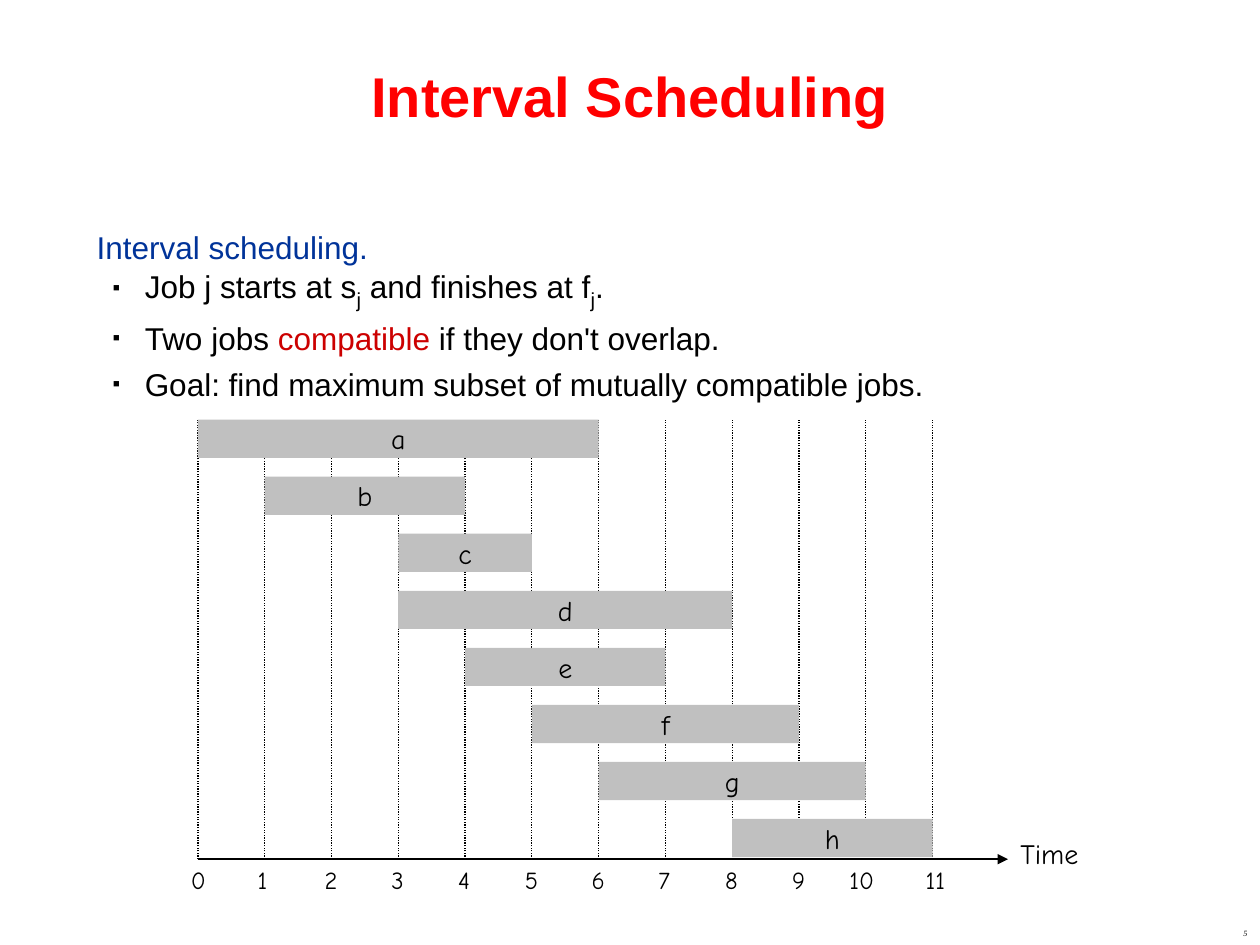
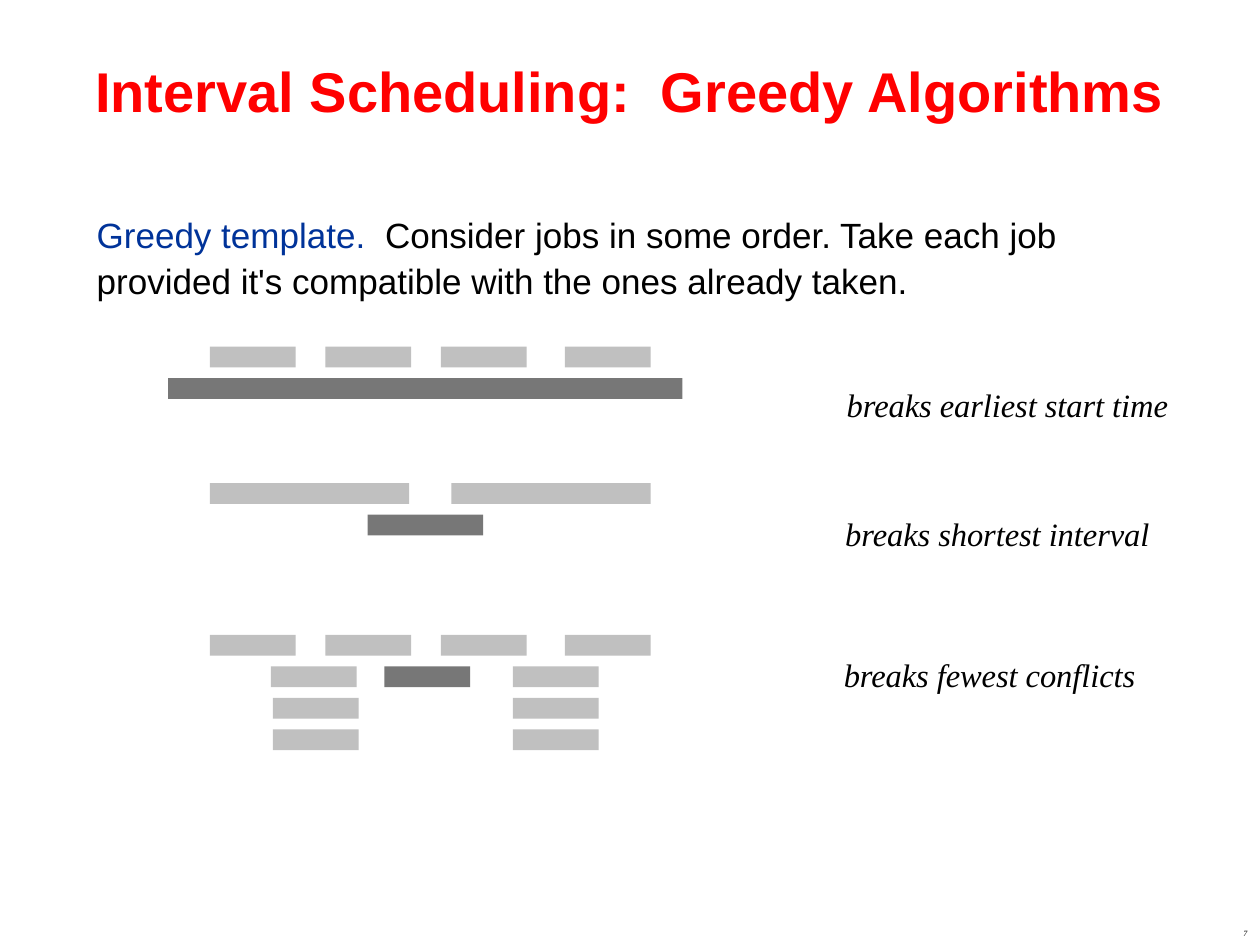
from pptx import Presentation
from pptx.dml.color import RGBColor
from pptx.enum.dml import MSO_LINE
from pptx.enum.shapes import MSO_CONNECTOR, MSO_SHAPE
from pptx.enum.text import MSO_ANCHOR, PP_ALIGN
from pptx.oxml.ns import qn
from pptx.util import Cm, Pt
from lxml.etree import SubElement


def paint(code):
    return RGBColor.from_string(code)


class Deck:
    """Holds the style and the current slide."""
    BLACK, RED, BLUE, ROSE = "000000", "FF0000", "003399", "CC0000"
    LIGHT, DARK = "C0C0C0", "777777"
    SANS, HAND, SERIF = "Arial", "Comic Neue", "Times New Roman"

    def __init__(self):
        self.prs = Presentation()
        self.prs.slide_width, self.prs.slide_height = Cm(25.4), Cm(19.05)

    def page(self, title, number, depth):
        """Start a slide with its title and page number."""
        self.slide = self.prs.slides.add_slide(self.prs.slide_layouts[6])
        head = self.box(0, 0.43, 25.4, depth, MSO_ANCHOR.MIDDLE)
        para = head.paragraphs[0]
        para.alignment, para.line_spacing = PP_ALIGN.CENTER, 0.7
        self.run(para, title, 32, self.SANS, self.RED, bold=True)
        foot = self.box(20.12, 18.42, 5.28, 0.63, MSO_ANCHOR.MIDDLE)
        foot.paragraphs[0].alignment = PP_ALIGN.RIGHT
        self.run(foot.paragraphs[0], number, 8, self.SERIF, italic=True, base=-10)

    def box(self, x, y, w, h, anchor=MSO_ANCHOR.TOP, wrap=True):
        frame = self.slide.shapes.add_textbox(Cm(x), Cm(y), Cm(w), Cm(h)).text_frame
        frame.word_wrap, frame.vertical_anchor = wrap, anchor
        return frame

    def run(self, para, text, size, face, color=BLACK, bold=False, italic=False, base=0):
        run = para.add_run()
        run.text = text
        font = run.font
        font.size, font.name, font.bold, font.italic = Pt(size), face, bold, italic
        font.color.rgb = paint(color)
        if base:
            run._r.get_or_add_rPr().set("baseline", str(base * 1000))

    def label(self, text, x, y, w, h, size, face, italic=False, base=0, wrap=True):
        frame = self.box(x, y, w, h, wrap=wrap)
        self.run(frame.paragraphs[0], text, size, face, italic=italic, base=base)

    def bullet(self, para):
        props = para._p.get_or_add_pPr()
        props.set("marL", str(Cm(0.97)))
        props.set("indent", str(Cm(-0.64)))
        color = SubElement(props, qn("a:buClr"))
        SubElement(color, qn("a:srgbClr")).set("val", self.BLACK)
        SubElement(props, qn("a:buSzPct")).set("val", "35000")
        SubElement(props, qn("a:buFont")).set("typeface", self.SANS)
        SubElement(props, qn("a:buChar")).set("char", "■")

    def body(self, y, h, lines):
        """Each line is a list of (text, size, colour, baseline); later lines are bulleted."""
        frame = self.box(1.7, y, 21.8, h)
        for i, line in enumerate(lines):
            para = frame.add_paragraph() if i else frame.paragraphs[0]
            if i:
                self.bullet(para)
            para.line_spacing = Pt(26)
            for text, size, color, base in line:
                self.run(para, text, size, self.SANS, color, base=base)

    def bar(self, x, y, w, h, color=LIGHT, text=""):
        shape = self.slide.shapes.add_shape(MSO_SHAPE.RECTANGLE, Cm(x), Cm(y), Cm(w), Cm(h))
        shape.shadow.inherit = False
        shape.fill.solid()
        shape.fill.fore_color.rgb = paint(color)
        shape.line.fill.background()
        if text:
            frame = shape.text_frame
            frame.word_wrap, frame.vertical_anchor = False, MSO_ANCHOR.MIDDLE
            frame.paragraphs[0].alignment = PP_ALIGN.CENTER
            self.run(frame.paragraphs[0], text, 16, self.HAND)

    def line(self, x1, y1, x2, y2, width, dots=False, arrow=False):
        link = self.slide.shapes.add_connector(
            MSO_CONNECTOR.STRAIGHT, Cm(x1), Cm(y1), Cm(x2), Cm(y2))
        link.line.width = Pt(width)
        link.line.color.rgb = paint(self.BLACK)
        if dots:
            link.line.dash_style = MSO_LINE.ROUND_DOT
        if arrow:
            SubElement(link.line._get_or_add_ln(), qn("a:tailEnd")).set("type", "triangle")
        SubElement(link._element.spPr, qn("a:effectLst"))


def jobs(deck):
    """Jobs on a time axis."""
    deck.page("Interval Scheduling", "5", 3.3)
    black = deck.BLACK
    deck.body(4.32, 13.23, [
        [("Interval scheduling.", 18, deck.BLUE, 0)],
        [("Job j starts at s", 18, black, 0), ("j", 20, black, -25),
         (" and finishes at f", 18, black, 0), ("j", 20, black, -25), (".", 18, black, 0)],
        [("Two jobs ", 18, black, 0), ("compatible ", 18, deck.ROSE, 0),
         ("if they don't overlap.", 18, black, 0)],
        [("Goal: find maximum subset of mutually compatible jobs.", 18, black, 0)],
    ])

    # Time axis, grid and hour labels
    left, right, top, base, last = 3.99, 18.8, 8.46, 17.32, 11
    step = (right - left) / last
    deck.line(left, base, 20.32, base, 1.25, arrow=True)
    deck.label("Time", 20.32, 16.74, 2.11, 0.94, 16, deck.HAND)
    for hour in range(last + 1):
        x = left + hour * step
        deck.line(x, base, x, top, 0.75, dots=True)
        shift = 0.58 if hour == 10 else 0.39
        deck.label(str(hour), x - shift, base, 1.16, 0.84, 14, deck.HAND)

    # Job bars: name, start, finish
    spans = [("a", 0, 6), ("b", 1, 4), ("c", 3, 5), ("d", 3, 8),
             ("e", 4, 7), ("f", 5, 9), ("g", 6, 10), ("h", 8, 11)]
    for row, (name, start, end) in enumerate(spans):
        deck.bar(left + start * step, top + row * 1.15, (end - start) * step, 0.77, text=name)


def greedy(deck):
    """Cases that break each greedy order."""
    deck.page("Interval Scheduling:  Greedy Algorithms", "7", 3.1)
    deck.body(4.11, 13.44, [[
        ("Greedy template.  ", 20, deck.BLUE, 0),
        ("Consider jobs in some order. Take each job provided it's compatible "
         "with the ones already taken.", 20, deck.BLACK, 0)]])

    # Bars per case: row, left edge, width; the dark bar is the bad choice
    short = 1.73
    four = [(0, x, short) for x in (4.23, 6.56, 8.89, 11.39)]
    pairs = [(row, x, short) for row in (1, 2, 3)
             for x in (5.46 if row == 1 else 5.5, 10.34)]
    cases = [
        (6.99, four, (1, 3.39, 10.37), "breaks earliest start time", 16.82, 7.06, 7.01),
        (9.74, [(0, 4.23, 4.02), (0, 9.1, 4.02)], (1, 7.41, 2.33),
         "breaks shortest interval", 16.79, 9.65, 6.68),
        (12.8, four + pairs, (1, 7.75, short), "breaks fewest conflicts", 16.76, 12.5, 6.43),
    ]
    for top, good, bad, text, x, y, w in cases:
        for row, edge, width in good + [bad]:
            color = deck.DARK if (row, edge, width) == bad else deck.LIGHT
            deck.bar(edge, top + row * 0.635, width, 0.42, color)
        deck.label(text, x, y, w, 1.63, 32, deck.SERIF, italic=True, base=-10, wrap=False)


def main():
    deck = Deck()
    jobs(deck)
    greedy(deck)
    deck.prs.save("out.pptx")


if __name__ == "__main__":
    main()
